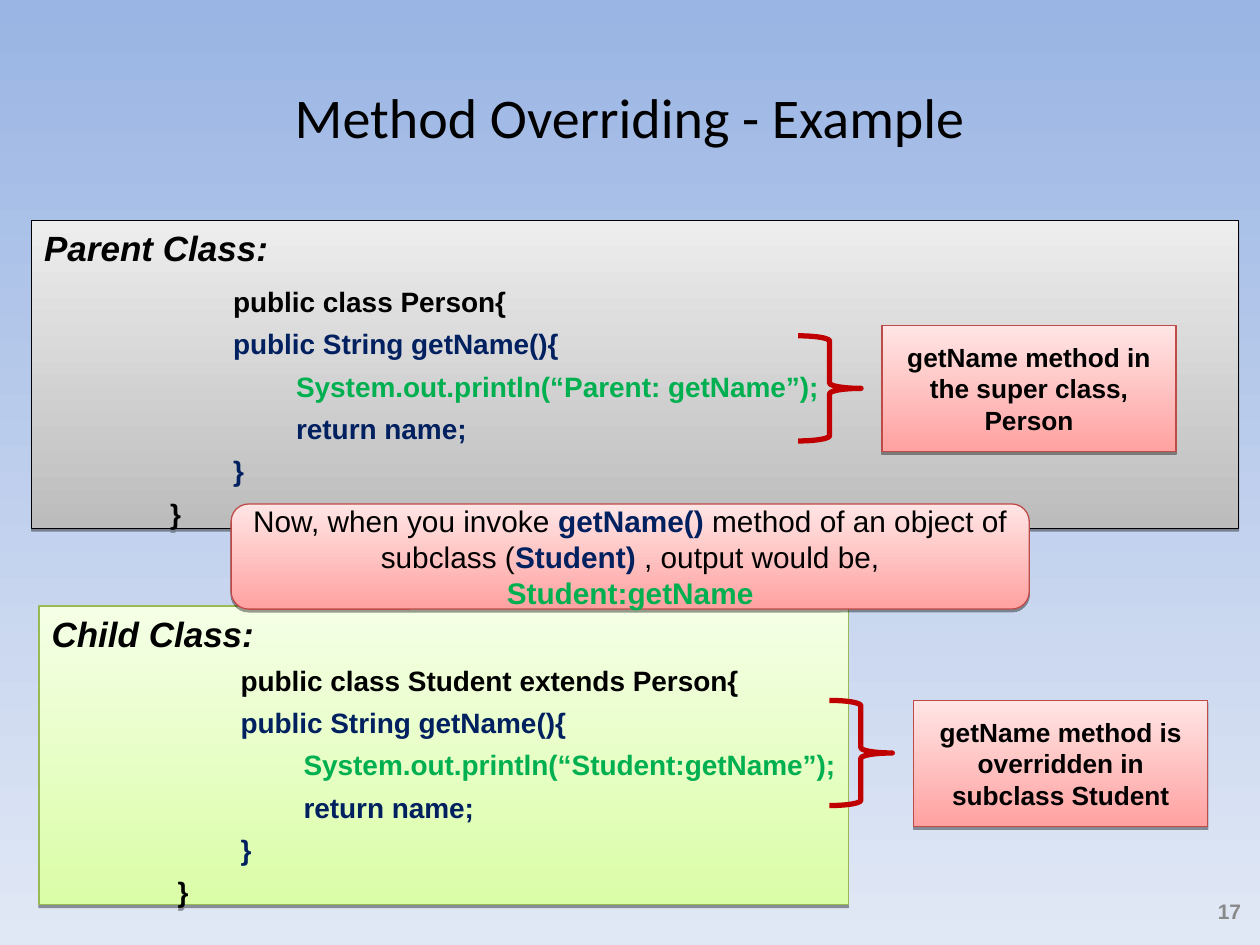
from lxml.etree import SubElement
from pptx import Presentation
from pptx.dml.color import RGBColor
from pptx.enum.shapes import MSO_SHAPE
from pptx.enum.text import MSO_ANCHOR, PP_ALIGN
from pptx.oxml.ns import qn
from pptx.util import Cm, Pt

BLACK = RGBColor(0x00, 0x00, 0x00)
NAVY = RGBColor(0x00, 0x20, 0x60)
GREEN = RGBColor(0x00, 0xB0, 0x50)
RED = RGBColor(0xC0, 0x00, 0x00)
NUMBER_GRAY = RGBColor(0x89, 0x89, 0x89)
SKY = (RGBColor(0x9A, 0xB5, 0xE4), RGBColor(0xE1, 0xE8, 0xF5))
GRAY = (RGBColor(0xED, 0xED, 0xED), RGBColor(0xBC, 0xBC, 0xBC))
LIME = (RGBColor(0xF5, 0xFF, 0xE6), RGBColor(0xDA, 0xFD, 0xA7))
PINK = (RGBColor(0xFF, 0xE5, 0xE5), RGBColor(0xFF, 0xA2, 0xA1))
LIME_EDGE = RGBColor(0x98, 0xB9, 0x54)
PINK_EDGE = RGBColor(0xBE, 0x4B, 0x48)

INDENT = 1.27


def shade(fill, colors):
    """Fill with a gradient running from the first colour (top) to the second."""
    fill.gradient()
    fill.gradient_angle = 270
    for stop, color in zip(fill.gradient_stops, colors):
        stop.color.rgb = color


def write(paragraph, text, size=16, color=BLACK, bold=True, italic=False,
          font="Arial", align=PP_ALIGN.LEFT, before=0, level=0):
    """Append a formatted run to the paragraph."""
    paragraph.alignment = align
    paragraph.space_before = Pt(before)
    if level:
        paragraph.level = level
        properties = paragraph._p.get_or_add_pPr()
        properties.set("marL", str(Cm(INDENT * level)))
        properties.set("indent", "0")
    run = paragraph.add_run()
    run.text = text
    run.font.name = font
    run.font.size = Pt(size)
    run.font.bold = bold
    run.font.italic = italic
    run.font.color.rgb = color


class ClassSlide:
    """Holds the current slide and the look of its elements."""

    edge_width = Pt(0.75)
    brace_width = Pt(3)

    def __init__(self, slide):
        self.slide = slide
        shade(slide.background.fill, SKY)

    def label(self, box, text, **style):
        frame = self.slide.shapes.add_textbox(*map(Cm, box)).text_frame
        frame.word_wrap = True
        frame.vertical_anchor = MSO_ANCHOR.MIDDLE
        write(frame.paragraphs[0], text, **style)

    def panel(self, box, colors, edge, kind=MSO_SHAPE.RECTANGLE,
              anchor=MSO_ANCHOR.MIDDLE):
        """Add a shaded, shadowed shape and return its text frame."""
        shape = self.slide.shapes.add_shape(kind, *map(Cm, box))
        shade(shape.fill, colors)
        shape.line.color.rgb = edge
        shape.line.width = self.edge_width
        shape.shadow.inherit = False
        effects = shape._element.spPr.find(qn("a:effectLst"))
        shadow = SubElement(effects, qn("a:outerShdw"), blurRad="0",
                            dist=str(Pt(1.6)), dir="5400000", rotWithShape="0")
        tint = SubElement(shadow, qn("a:srgbClr"), val=str(BLACK))
        SubElement(tint, qn("a:alpha"), val="38000")
        frame = shape.text_frame
        frame.word_wrap = True
        frame.vertical_anchor = anchor
        return frame

    def code_panel(self, box, colors, edge, heading, declaration, message,
                   declaration_gap=5):
        frame = self.panel(box, colors, edge, anchor=MSO_ANCHOR.TOP)
        frame.margin_right = 0
        write(frame.paragraphs[0], heading, size=20, italic=True)
        code = [
            (declaration, 3, BLACK, declaration_gap),
            ("public String getName(){", 3, NAVY, 5),
            (f"System.out.println(“{message}”);", 4, GREEN, 5),
            ("return name;", 4, NAVY, 5),
            ("}", 3, NAVY, 5),
            ("}", 2, BLACK, 5),
        ]
        for text, level, color, before in code:
            write(frame.add_paragraph(), text, level=level, color=color, before=before)

    def brace(self, left, top):
        shape = self.slide.shapes.add_shape(
            MSO_SHAPE.RIGHT_BRACE, Cm(left), Cm(top), Cm(1.27), Cm(2.12))
        shape.fill.background()
        shape.line.color.rgb = RED
        shape.line.width = self.brace_width
        shape.shadow.inherit = False

    def note(self, left, top, text):
        frame = self.panel((left, top, 5.93, 2.54), PINK, PINK_EDGE)
        write(frame.paragraphs[0], text, size=15, align=PP_ALIGN.CENTER)

    def banner(self, box, lines):
        """Add a rounded panel; each line is a list of (text, colour, bold)."""
        frame = self.panel(box, PINK, PINK_EDGE, MSO_SHAPE.ROUNDED_RECTANGLE)
        for index, line in enumerate(lines):
            paragraph = frame.add_paragraph() if index else frame.paragraphs[0]
            for text, color, bold in line:
                write(paragraph, text, size=17, color=color, bold=bold,
                      align=PP_ALIGN.CENTER)


def main():
    deck = Presentation()
    deck.slide_width, deck.slide_height = Cm(25.4), Cm(19.05)
    page = ClassSlide(deck.slides.add_slide(deck.slide_layouts[6]))

    page.code_panel((0.79, 12.22, 16.31, 6.02), LIME, LIME_EDGE, "Child Class:",
                    "public class Student extends Person{", "Student:getName")
    page.label((1.27, 0.76, 22.86, 3.18), "Method Overriding - Example", size=32,
               font="Calibri", bold=False, align=PP_ALIGN.CENTER)
    page.label((24.03, 17.93, 1.24, 0.89), "17", size=12, color=NUMBER_GRAY,
               align=PP_ALIGN.RIGHT)
    page.code_panel((0.64, 4.45, 24.33, 6.2), GRAY, BLACK, "Parent Class:",
                    "public class Person{", "Parent: getName", declaration_gap=9)

    page.brace(16.09, 6.77)
    page.note(17.78, 6.56, "getName method in the super class, Person")
    page.brace(16.72, 14.12)
    page.note(18.42, 14.12, "getName method is overridden in subclass Student")

    page.banner((4.66, 10.16, 16.09, 2.12), [
        [("Now, when you invoke ", BLACK, False),
         ("getName() ", NAVY, True),
         ("method of an object of subclass (", BLACK, False),
         ("Student) ", NAVY, True),
         (", output would be,", BLACK, False)],
        [("Student:getName", GREEN, True)],
    ])
    deck.save("out.pptx")


if __name__ == "__main__":
    main()
